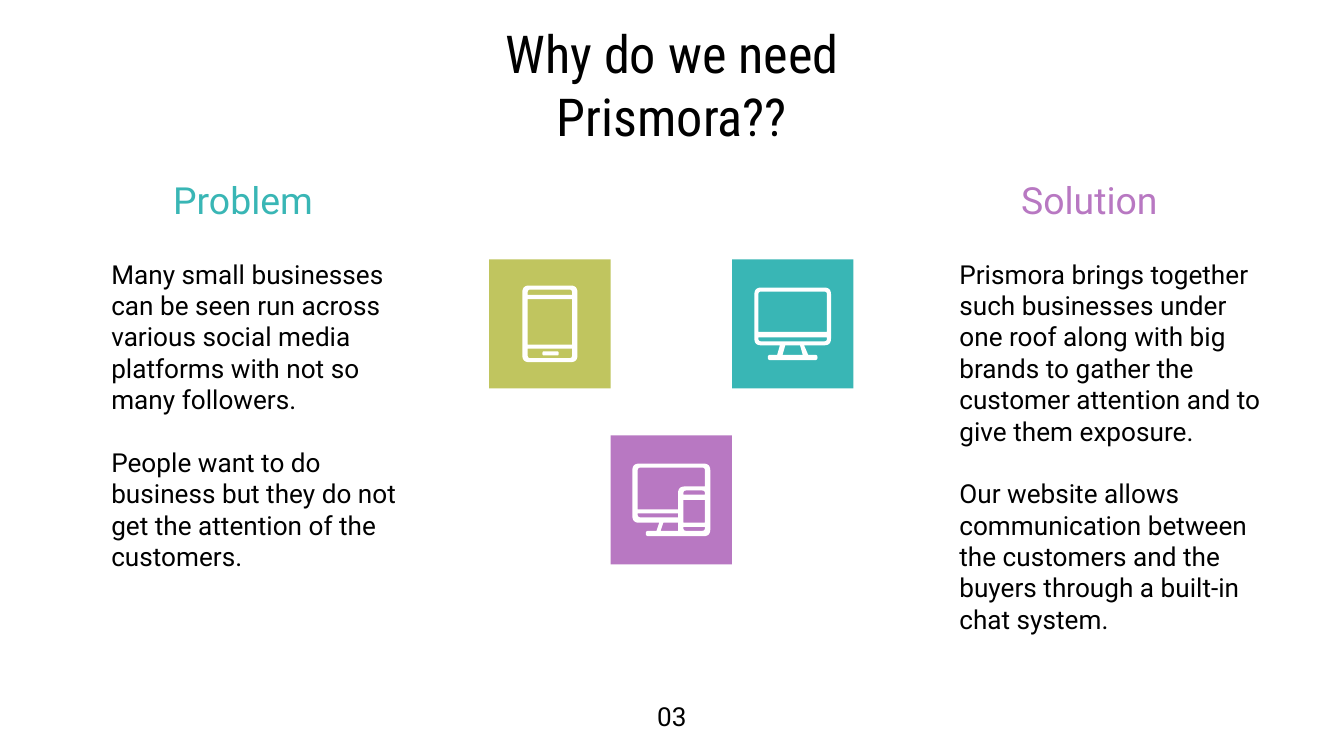
from dataclasses import dataclass
from math import hypot

from pptx import Presentation
from pptx.dml.color import RGBColor
from pptx.enum.shapes import MSO_SHAPE
from pptx.enum.text import MSO_ANCHOR, MSO_AUTO_SIZE, PP_ALIGN
from pptx.util import Inches, Pt

TILE = MSO_SHAPE.ROUNDED_RECTANGLE
TOP, MIDDLE = MSO_ANCHOR.TOP, MSO_ANCHOR.MIDDLE
LEFT, CENTER = PP_ALIGN.LEFT, PP_ALIGN.CENTER
NO_AUTOFIT = MSO_AUTO_SIZE.NONE
TITLE_ONLY = 5


@dataclass(frozen=True)
class Theme:
    """Colours, fonts and type sizes of the slide."""
    ink: str = "000000"
    paper: str = "FFFFFF"
    olive: str = "C0C55F"
    teal: str = "39B6B5"
    orchid: str = "B878C2"
    title_font: str = "Roboto Condensed"
    body_font: str = "Roboto"
    title_size: float = 28
    heading_size: float = 20
    body_size: float = 14
    paragraph_gap: float = 16.8


THEME = Theme()


def write(frame, paragraphs, size, color=THEME.ink, font=THEME.body_font,
          align=LEFT, anchor=TOP):
    """Fill a text frame with evenly spaced paragraphs of one style."""
    frame.word_wrap = True
    frame.auto_size = NO_AUTOFIT
    frame.vertical_anchor = anchor
    frame.margin_left = frame.margin_right = Inches(0.1)
    frame.margin_top = frame.margin_bottom = Inches(0.1)
    for index, sentence in enumerate(paragraphs):
        paragraph = frame.add_paragraph() if index else frame.paragraphs[0]
        paragraph.alignment = align
        paragraph.space_before = Pt(THEME.paragraph_gap if index else 0)
        run = paragraph.add_run()
        run.text = sentence
        run.font.name = font
        run.font.size = Pt(size)
        run.font.color.rgb = RGBColor.from_string(color)


def add_text(slide, box, paragraphs, size, **style):
    """Add a text box at the given box in inches."""
    frame = slide.shapes.add_textbox(*map(Inches, box)).text_frame
    write(frame, paragraphs, size, **style)


def paint(shape, color):
    """Give a shape a flat fill without line or shadow."""
    shape.shadow.inherit = False
    shape.fill.solid()
    shape.fill.fore_color.rgb = RGBColor.from_string(color)
    shape.line.fill.background()


def toward(corner, target, distance):
    """Return the point at a distance from a corner toward a target."""
    dx, dy = target[0] - corner[0], target[1] - corner[1]
    share = distance / hypot(dx, dy)
    return corner[0] + dx * share, corner[1] + dy * share


def soften(corners, steps=6):
    """Turn (x, y, radius) corners into an outline with rounded corners."""
    outline = []
    for index, (x, y, radius) in enumerate(corners):
        if not radius:
            outline.append((x, y))
            continue
        start = toward((x, y), corners[index - 1], radius)
        end = toward((x, y), corners[(index + 1) % len(corners)], radius)
        for step in range(steps + 1):
            t = step / steps
            outline.append(tuple((1 - t) ** 2 * a + 2 * t * (1 - t) * b + t * t * c
                                 for a, b, c in zip(start, (x, y), end)))
    return outline


def pane(left, top, right, bottom, upper=0, lower=0):
    """Return a rectangle with its upper and lower corner radii."""
    return [(left, top, upper), (right, top, upper),
            (right, bottom, lower), (left, bottom, lower)]


TABLET = [
    pane(0, 0, 0.41, 0.57, 0.05, 0.05),
    pane(0.04, 0.03, 0.37, 0.07, upper=0.02),
    pane(0.04, 0.1, 0.37, 0.44),
    pane(0.04, 0.47, 0.37, 0.54, lower=0.02),
    pane(0.15, 0.49, 0.27, 0.52, 0.01, 0.01),
]
MONITOR = [
    [(0, 0, 0.05), (0.57, 0, 0.05), (0.57, 0.43, 0.05), (0.37, 0.43, 0),
     (0.4, 0.5, 0), (0.47, 0.5, 0.02), (0.47, 0.54, 0.02), (0.1, 0.54, 0.02),
     (0.1, 0.5, 0.02), (0.17, 0.5, 0), (0.19, 0.43, 0), (0, 0.43, 0.05)],
    pane(0.03, 0.03, 0.54, 0.33, upper=0.02),
    pane(0.03, 0.37, 0.54, 0.4, lower=0.02),
    [(0.23, 0.43, 0), (0.34, 0.43, 0), (0.36, 0.5, 0), (0.21, 0.5, 0)],
]
MONITOR_AND_PHONE = [
    [(0, 0, 0.05), (0.58, 0, 0.05), (0.58, 0.54, 0.05), (0.1, 0.54, 0.02),
     (0.1, 0.5, 0.02), (0.18, 0.5, 0), (0.2, 0.44, 0), (0, 0.44, 0.05)],
    [(0.04, 0.03, 0.02), (0.54, 0.03, 0.02), (0.54, 0.17, 0),
     (0.34, 0.17, 0.05), (0.34, 0.34, 0), (0.04, 0.34, 0)],
    [(0.04, 0.37, 0), (0.34, 0.37, 0), (0.34, 0.4, 0), (0.04, 0.4, 0.02)],
    [(0.23, 0.44, 0), (0.34, 0.44, 0), (0.34, 0.5, 0), (0.21, 0.5, 0)],
    pane(0.38, 0.2, 0.54, 0.23, upper=0.02),
    pane(0.38, 0.27, 0.54, 0.44),
    pane(0.38, 0.47, 0.54, 0.5, lower=0.02),
]


def add_icon(slide, box, contours):
    """Centre a white icon made of nested contours in a box."""
    left, top, width, height = box
    left += (width - max(x for x, _, _ in contours[0])) / 2
    top += (height - max(y for _, y, _ in contours[0])) / 2
    builder = None
    for contour in contours:
        outline = [(Inches(left + x), Inches(top + y)) for x, y in soften(contour)]
        if builder is None:
            builder = slide.shapes.build_freeform(*outline[0])
        else:
            builder.move_to(*outline[0])
        builder.add_line_segments(outline[1:], close=True)
    paint(builder.convert_to_shape(), THEME.paper)


def add_devices(slide, box):
    """Place three device tiles in a checkered two-row grid."""
    left, top, width, height = box
    tile_width, tile_height = width / 3, 0.96
    lower_row = height - tile_height
    tiles = ((0, THEME.olive, TABLET), (lower_row, THEME.orchid, MONITOR_AND_PHONE),
             (0, THEME.teal, MONITOR))
    for column, (drop, color, icon) in enumerate(tiles):
        tile_box = (left + column * tile_width, top + drop, tile_width, tile_height)
        tile = slide.shapes.add_shape(TILE, *map(Inches, tile_box))
        tile.adjustments[0] = 0
        paint(tile, color)
        add_icon(slide, tile_box, icon)


def add_column(slide, box, heading, color, paragraphs):
    """Place a coloured heading above its paragraphs."""
    left, top, width, height = box
    add_text(slide, (left + 0.46, top, 1.54, 0.54), [heading],
             THEME.heading_size, color=color)
    add_text(slide, (left, top + 0.6, width, height - 0.6), paragraphs,
             THEME.body_size)


def add_title(slide, box, wording):
    """Move the title placeholder into the box and write the title."""
    title = slide.shapes.title
    title.left, title.top, title.width, title.height = map(Inches, box)
    write(title.text_frame, [wording], THEME.title_size, font=THEME.title_font,
          align=CENTER, anchor=MIDDLE)


def main():
    """Build the slide and save it."""
    deck = Presentation()
    deck.slide_width = Inches(10)
    deck.slide_height = deck.slide_width * 9 // 16
    slide = deck.slides.add_slide(deck.slide_layouts[TITLE_ONLY])
    add_title(slide, (2.9, 0.45, 4.2, 0.35), "Why do we need Prismora??")
    add_devices(slide, (3.64, 1.93, 2.71, 2.27))
    add_column(slide, (0.73, 1.22, 2.46, 3.16), "Problem", THEME.teal, [
        "Many small businesses can be seen run across various social media "
        "platforms with not so many followers.",
        "People want to do business but they do not get the attention of the customers."])
    add_column(slide, (7.04, 1.22, 2.46, 3.63), "Solution", THEME.orchid, [
        "Prismora brings together such businesses under one roof along with big "
        "brands to gather the customer attention and to give them exposure.",
        "Our website allows communication between the customers and the buyers "
        "through a built-in chat system."])
    add_text(slide, (4.71, 5.11, 0.58, 0.44), ["03"], THEME.body_size, align=CENTER)
    deck.save("out.pptx")


if __name__ == "__main__":
    main()
